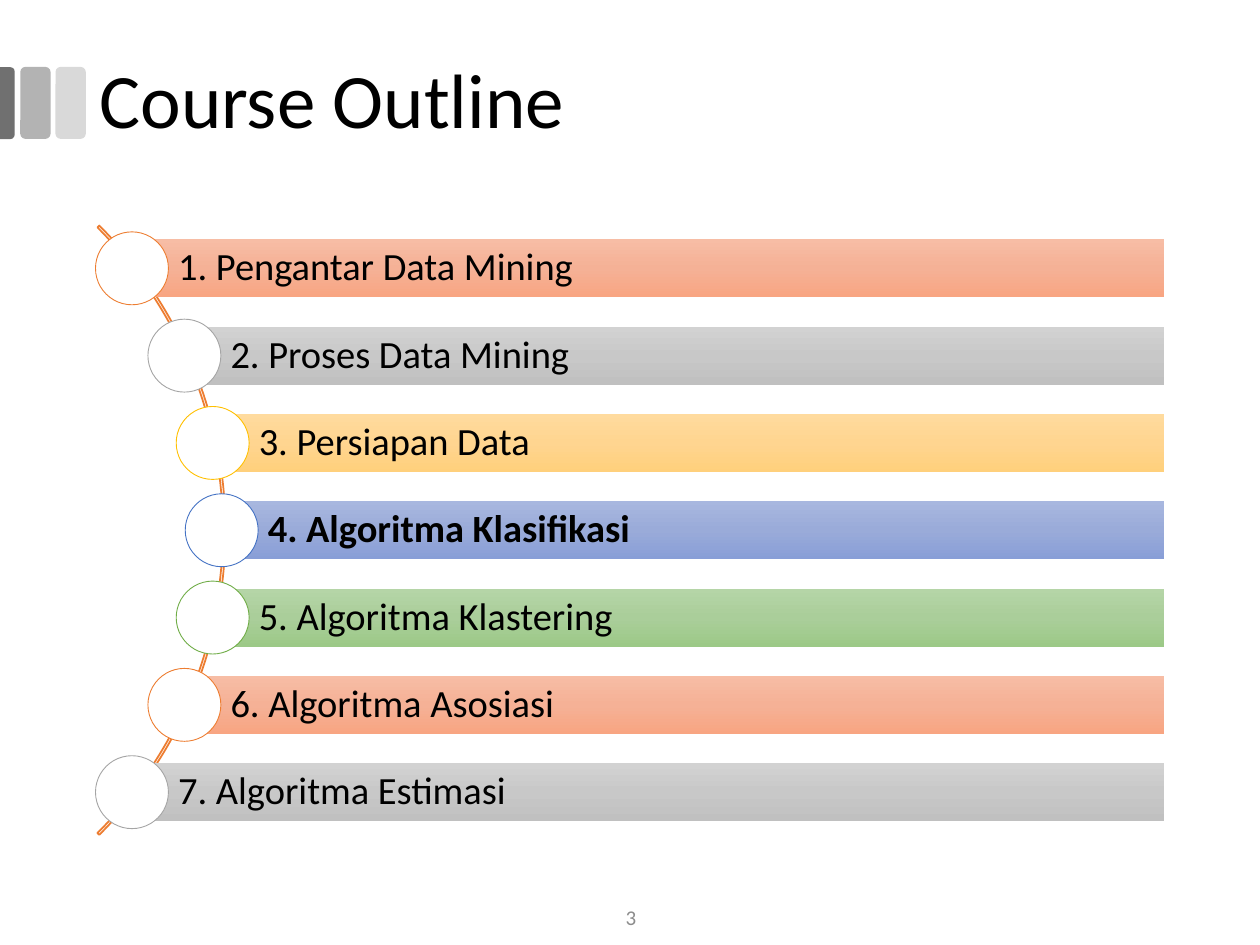
import copy
import math

import pptx
import pptx.dml.color
import pptx.enum.shapes
import pptx.enum.text
import pptx.util

Cm = pptx.util.Cm
Pt = pptx.util.Pt
KIND = pptx.enum.shapes.MSO_SHAPE
ALIGN = pptx.enum.text.PP_ALIGN
MIDDLE = pptx.enum.text.MSO_ANCHOR.MIDDLE

FONT = "Calibri"
HEX = {
    "text": "000000", "white": "FFFFFF", "page": "8C8C8C",
    "dark": "707070", "mid": "B3B3B3", "light": "D9D9D9",
    "orange": "ED7D31", "gray": "A5A5A5", "gold": "FFC000",
    "blue": "4472C4", "green": "70AD47",
}
FADES = {
    "orange": ("F7BDA5", "F5B196", "F8A582"),
    "gray": ("D2D2D2", "C8C8C8", "C0C0C0"),
    "gold": ("FFDB9E", "FFD590", "FFD07C"),
    "blue": ("A8B7DF", "9AABD9", "889ED7"),
    "green": ("B5D5A7", "AACE9A", "9CC987"),
}
TOPICS = [
    ("1. Pengantar Data Mining", "orange", False),
    ("2. Proses Data Mining", "gray", False),
    ("3. Persiapan Data", "gold", False),
    ("4. Algoritma Klasifikasi", "blue", True),
    ("5. Algoritma Klastering", "green", False),
    ("6. Algoritma Asosiasi", "orange", False),
    ("7. Algoritma Estimasi", "gray", False),
]
ARC_X, ARC_Y, ARC_SIZE = -4.14, 10.69, 17.37
REACH = 8.61
PITCH = 1.76
BAR_H, BAR_END = 1.17, 23.47
DOT = 1.47


def rgb(code):
    return pptx.dml.color.RGBColor.from_string(code)


def add_shape(slide, kind, box, fill=None, line=None, width=0.5):
    shape = slide.shapes.add_shape(kind, *map(Cm, box))
    shape.shadow.inherit = False
    if fill:
        shape.fill.solid()
        shape.fill.fore_color.rgb = rgb(HEX[fill])
    else:
        shape.fill.background()
    if line:
        shape.line.color.rgb = rgb(HEX[line])
        shape.line.width = Pt(width)
    else:
        shape.line.fill.background()
    return shape


def add_text(shape, text, size, color="text", align=ALIGN.LEFT, bold=False, space=None):
    frame = shape.text_frame
    frame.word_wrap = True
    frame.vertical_anchor = MIDDLE
    para = frame.paragraphs[0]
    para.alignment = align
    para.line_spacing = space
    run = para.add_run()
    run.text = text
    run.font.name = FONT
    run.font.size = Pt(size)
    run.font.bold = bold
    run.font.color.rgb = rgb(HEX[color])


def fade(shape, codes):
    fill = shape.fill
    fill.gradient()
    fill.gradient_angle = 270
    first = shape.element.spPr.find(".//" + pptx.oxml.ns.qn("a:gs"))
    first.addnext(copy.deepcopy(first))
    for stop, code, place in zip(fill.gradient_stops, codes, (0, 0.5, 1)):
        stop.color.rgb = rgb(code)
        stop.position = place


def add_title(slide):
    title = slide.shapes.title
    title.left, title.top = Cm(1.75), Cm(0.43)
    title.width, title.height = Cm(21.89), Cm(3.33)
    add_text(title, "Course Outline", 44, space=0.9)


def add_tabs(slide):
    for left, fill in ((1.12, "light"), (0.41, "mid")):
        add_shape(slide, KIND.ROUNDED_RECTANGLE, (left, 1.35, 0.61, 1.45), fill)
    edge = add_shape(slide, KIND.ROUND_2_SAME_RECTANGLE, (-0.58, 1.93, 1.45, 0.3), "dark")
    edge.adjustments[0] = 0.29
    edge.rotation = 90


def add_arc(slide):
    half = ARC_SIZE / 2
    box = (ARC_X - half, ARC_Y - half, ARC_SIZE, ARC_SIZE)
    arc = add_shape(slide, KIND.BLOCK_ARC, box, line="orange", width=1)
    for index, value in enumerate((189, 27, 0.003)):
        arc.adjustments[index] = value


def add_topic(slide, step, text, hue, bold):
    drop = step * PITCH
    x = ARC_X + math.sqrt(REACH ** 2 - drop ** 2)
    y = ARC_Y + drop
    bar = add_shape(slide, KIND.RECTANGLE, (x, y - BAR_H / 2, BAR_END - x, BAR_H))
    fade(bar, FADES[hue])
    frame = bar.text_frame
    frame.margin_left = Cm(0.93)
    frame.margin_top = frame.margin_right = frame.margin_bottom = Cm(0.15)
    add_text(bar, text, 22, bold=bold, space=0.9)
    add_shape(slide, KIND.OVAL, (x - DOT / 2, y - DOT / 2, DOT, DOT), "white", hue)


def add_page(slide):
    box = slide.shapes.add_textbox(Cm(9.86), Cm(17.98), Cm(5.72), Cm(1.02))
    add_text(box, "3", 12, "page", ALIGN.CENTER)


def main():
    deck = pptx.Presentation()
    deck.slide_width, deck.slide_height = Cm(25.4), Cm(19.05)
    slide = deck.slides.add_slide(deck.slide_layouts[5])
    add_tabs(slide)
    add_title(slide)
    add_arc(slide)
    for index, topic in enumerate(TOPICS):
        add_topic(slide, index - len(TOPICS) // 2, *topic)
    add_page(slide)
    deck.save("out.pptx")


if __name__ == "__main__":
    main()
